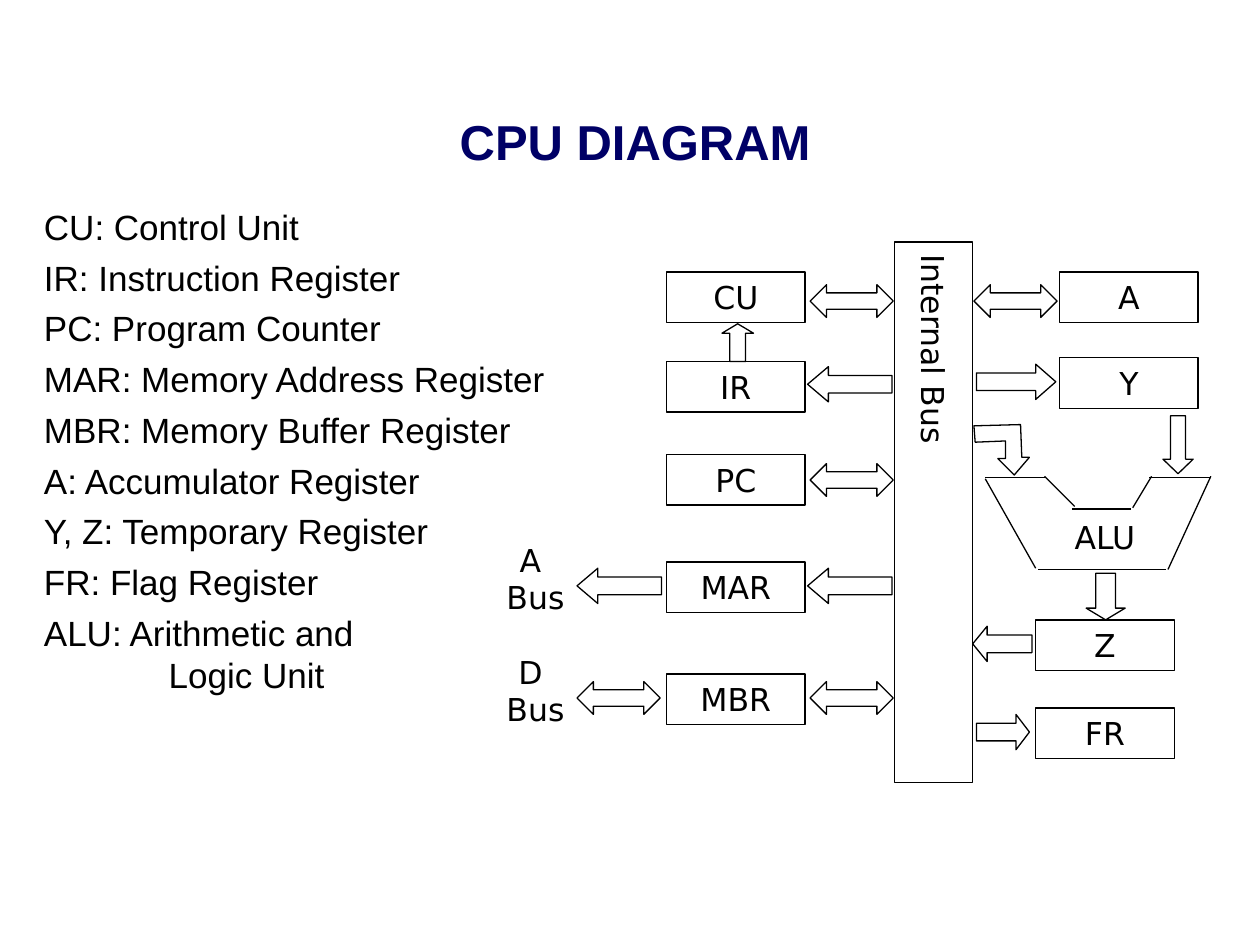
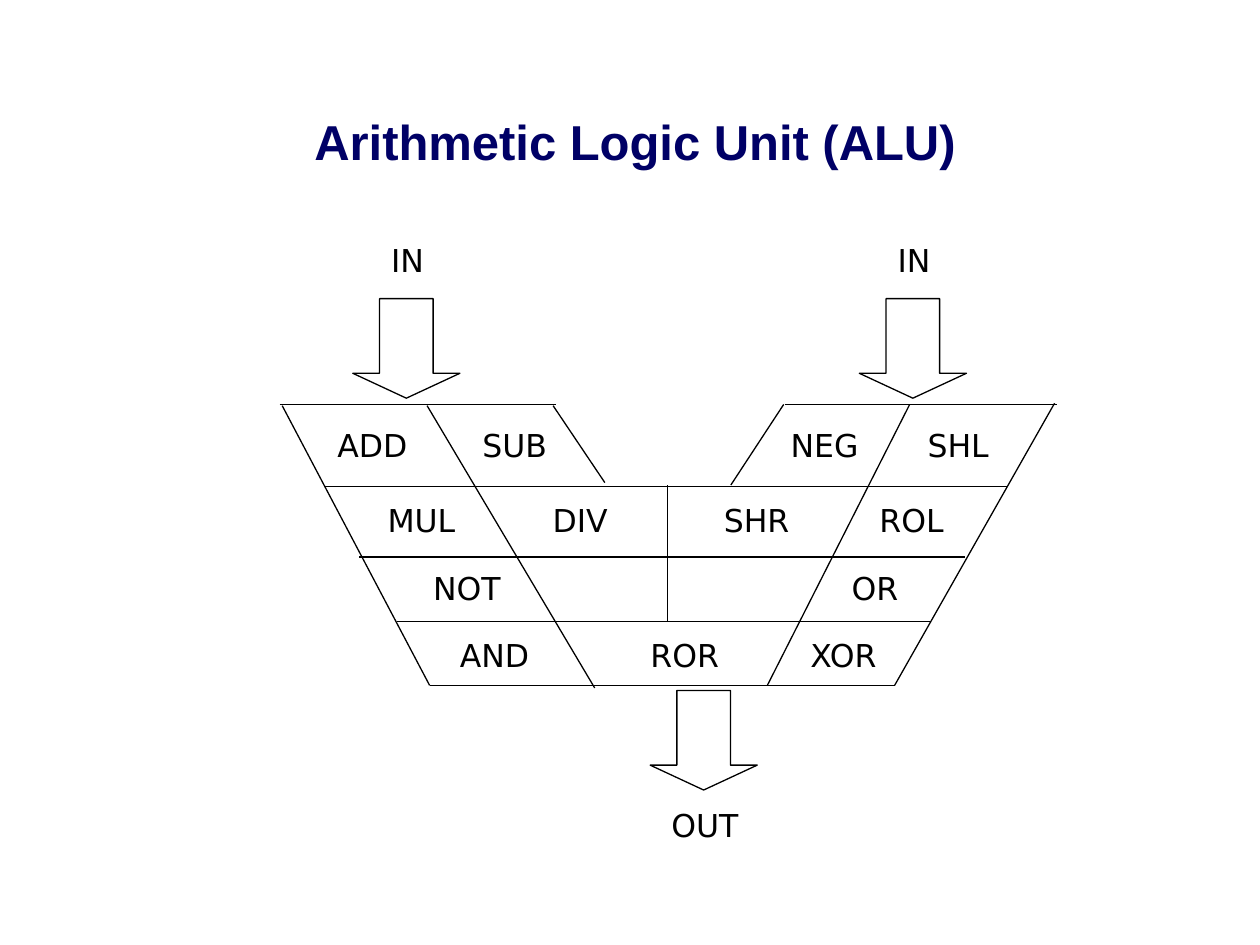
from pptx import Presentation
from pptx import util as u
from pptx.dml.color import RGBColor
from pptx.enum import shapes, text
from pptx.oxml import parse_xml
from pptx.oxml.ns import nsdecls

COLORS = {"title": "000066", "ink": "000000"}
FONTS = {"title": "Arial", "body": "Arial", "label": "DejaVu Sans"}
LINE_WIDTH = u.Pt(0.75)
SHAPE = shapes.MSO_SHAPE
CENTER, LEFT = text.PP_ALIGN.CENTER, text.PP_ALIGN.LEFT


def color(name):
    return RGBColor.from_string(COLORS[name])


def inches(*lengths):
    return [u.Inches(length) for length in lengths]


class Deck:
    """Holds the shared style and the slide being drawn."""

    def __init__(self):
        self.presentation = Presentation()
        self.presentation.slide_width, self.presentation.slide_height = inches(10, 7.5)
        self.slide = None

    def new_slide(self, title):
        self.slide = self.presentation.slides.add_slide(self.presentation.slide_layouts[6])
        self.text_box(title, 0.25, 0.83, 9.58, 0.57, "title", 28, "title", bold=True)

    def set_text(self, shape, lines, role, size, ink="ink", bold=False, align=CENTER,
                 anchor=text.MSO_ANCHOR.MIDDLE):
        frame = shape.text_frame
        frame.word_wrap = True
        frame.vertical_anchor = anchor
        frame.text = lines
        for paragraph in frame.paragraphs:
            paragraph.alignment = align
            for run in paragraph.runs:
                run.font.name = FONTS[role]
                run.font.size = u.Pt(size)
                run.font.bold = bold
                run.font.color.rgb = color(ink)

    def text_box(self, lines, left, top, width, height, role="label", size=18,
                 ink="ink", **style):
        box = self.slide.shapes.add_textbox(*inches(left, top, width, height))
        self.set_text(box, lines, role, size, ink, **style)
        return box

    def definitions(self, entries, left, top, width, height, hanging):
        box = self.text_box("\n".join(entries), left, top, width, height, "body", 20,
                            align=LEFT, anchor=text.MSO_ANCHOR.TOP)
        for index, paragraph in enumerate(box.text_frame.paragraphs):
            properties = paragraph._p.get_or_add_pPr()
            properties.set("marL", str(u.Inches(hanging)))
            properties.set("indent", str(-u.Inches(hanging)))
            if index:
                paragraph.space_before = u.Pt(5)

    def outline(self, shape):
        shape.shadow.inherit = False
        shape.fill.background()
        shape.line.color.rgb = color("ink")
        shape.line.width = LINE_WIDTH
        return shape

    def shape(self, kind, left, top, width, height):
        return self.outline(self.slide.shapes.add_shape(
            kind, *inches(left, top, width, height)))

    def register(self, name, left, top):
        self.set_text(self.shape(SHAPE.RECTANGLE, left, top, 1.1, 0.4), name, "label", 18)

    def vertical_box(self, name, left, top, width, height):
        box = self.shape(SHAPE.RECTANGLE, left, top, width, height)
        self.set_text(box, name, "label", 18, align=LEFT)
        box.text_frame._txBody.bodyPr.set("vert", "eaVert")

    def arrow(self, kind, left, top, width, height, head):
        """Draw a block arrow; head is its length relative to the short side."""
        arrow = self.shape(kind, left, top, width, height)
        arrow.adjustments[0] = 0.5
        arrow.adjustments[1] = head

    def polygon(self, points):
        corners = [inches(*point) for point in points]
        builder = self.slide.shapes.build_freeform(*corners[0], scale=1.0)
        builder.add_line_segments(corners[1:], close=True)
        self.outline(builder.convert_to_shape())

    def line(self, x1, y1, x2, y2):
        connector = self.slide.shapes.add_connector(
            shapes.MSO_CONNECTOR.STRAIGHT, *inches(x1, y1, x2, y2))
        connector.line.color.rgb = color("ink")
        connector.line.width = LINE_WIDTH
        connector._element.spPr.append(parse_xml(f"<a:effectLst {nsdecls('a')}/>"))


def cpu_diagram(deck):
    deck.new_slide("CPU DIAGRAM")
    deck.definitions([
        "CU: Control Unit", "IR: Instruction Register", "PC: Program Counter",
        "MAR: Memory Address Register", "MBR: Memory Buffer Register",
        "A: Accumulator Register", "Y, Z: Temporary Register", "FR: Flag Register",
        "ALU: Arithmetic and\vLogic Unit",
    ], 0.25, 1.58, 4.35, 5.12, hanging=0.99)

    columns = {
        5.29: {"CU": 2.16, "IR": 2.87, "PC": 3.61, "MAR": 4.46, "MBR": 5.35},
        8.41: {"A": 2.16, "Y": 2.84},
        8.22: {"Z": 4.92, "FR": 5.62},
    }
    for left, registers in columns.items():
        for name, top in registers.items():
            deck.register(name, left, top)
    deck.vertical_box("Internal Bus", 7.1, 1.92, 0.62, 4.29)

    for left, top in [(6.43, 2.26), (6.43, 3.68), (6.43, 5.41), (4.58, 5.41), (7.73, 2.26)]:
        deck.arrow(SHAPE.LEFT_RIGHT_ARROW, left, top, 0.66, 0.26, 0.5)
    for left, top, width, head in [(6.41, 2.91, 0.67, 0.59), (6.41, 4.51, 0.67, 0.59),
                                   (4.58, 4.51, 0.67, 0.59), (7.72, 4.97, 0.47, 0.41)]:
        deck.arrow(SHAPE.LEFT_ARROW, left, top, width, 0.28, head)
    for top, width, head in [(2.89, 0.63, 0.57), (5.67, 0.42, 0.38)]:
        deck.arrow(SHAPE.RIGHT_ARROW, 7.75, top, width, 0.28, head)
    deck.arrow(SHAPE.UP_ARROW, 5.73, 2.57, 0.25, 0.3, 0.3)
    deck.arrow(SHAPE.DOWN_ARROW, 9.23, 3.3, 0.24, 0.46, 0.48)
    deck.arrow(SHAPE.DOWN_ARROW, 8.62, 4.55, 0.31, 0.37, 0.3)
    bent_arrow = [(8.05, 3.77), (7.92, 3.64), (7.98, 3.64), (7.98, 3.5), (7.74, 3.51),
                  (7.73, 3.38), (8.1, 3.37), (8.11, 3.63), (8.17, 3.63)]
    deck.polygon(bent_arrow)

    alu_edges = [
        (8.24, 4.52, 9.25, 4.52), (9.27, 4.52, 9.61, 3.78), (8.22, 4.51, 7.82, 3.8),
        (7.82, 3.79, 8.3, 3.79), (9.12, 3.79, 9.6, 3.79), (8.51, 4.04, 8.98, 4.04),
        (8.99, 4.03, 9.14, 3.78), (8.53, 4.02, 8.29, 3.78),
    ]
    for edge in alu_edges:
        deck.line(*edge)
    deck.text_box("ALU", 8.43, 4.06, 0.79, 0.4, align=LEFT)
    for name, top in [("A \vBus", 4.24), ("D \vBus", 5.13)]:
        deck.text_box(name, 3.91, top, 0.68, 0.7)


def arithmetic_logic_unit(deck):
    deck.new_slide("Arithmetic Logic Unit (ALU)")
    row_lines = [(3.21, 2.22, 4.41), (3.21, 6.23, 8.39), (3.86, 2.58, 8),
                 (4.42, 2.85, 7.66), (4.93, 3.15, 7.39), (5.44, 3.41, 7.1)]
    for y, start, end in row_lines:
        deck.line(start, y, end, y)
    column_lines = [
        (7.1, 5.44, 8.37, 3.2), (3.41, 5.44, 2.24, 3.22), (6.22, 3.21, 5.8, 3.85),
        (4.39, 3.22, 4.8, 3.83), (3.39, 3.22, 4.72, 5.46), (7.22, 3.21, 6.09, 5.44),
        (5.3, 3.85, 5.3, 4.93),
    ]
    for edge in column_lines:
        deck.line(*edge)

    operation_rows = {
        3.33: {"ADD": 2.52, "SUB": 3.65, "NEG": 6.11, "SHL": 7.17},
        3.93: {"MUL": 2.91, "DIV": 4.17, "SHR": 5.57, "ROL": 6.8},
        4.47: {"NOT": 3.27, "OR": 6.51},
        5: {"AND": 3.49, "ROR": 5, "XOR": 6.26},
    }
    for top, operations in operation_rows.items():
        for name, left in operations.items():
            deck.text_box(name, left, top, 0.87, 0.4)

    ports = [("IN", 2.8, 1.86, 2.37), ("IN", 6.82, 1.86, 2.37), ("OUT", 5.16, 6.35, 5.48)]
    for name, left, label_top, arrow_top in ports:
        deck.arrow(SHAPE.DOWN_ARROW, left, arrow_top, 0.85, 0.79, 0.25)
        deck.text_box(name, left, label_top, 0.87, 0.4)


def main():
    deck = Deck()
    cpu_diagram(deck)
    arithmetic_logic_unit(deck)
    deck.presentation.save("out.pptx")


if __name__ == "__main__":
    main()
